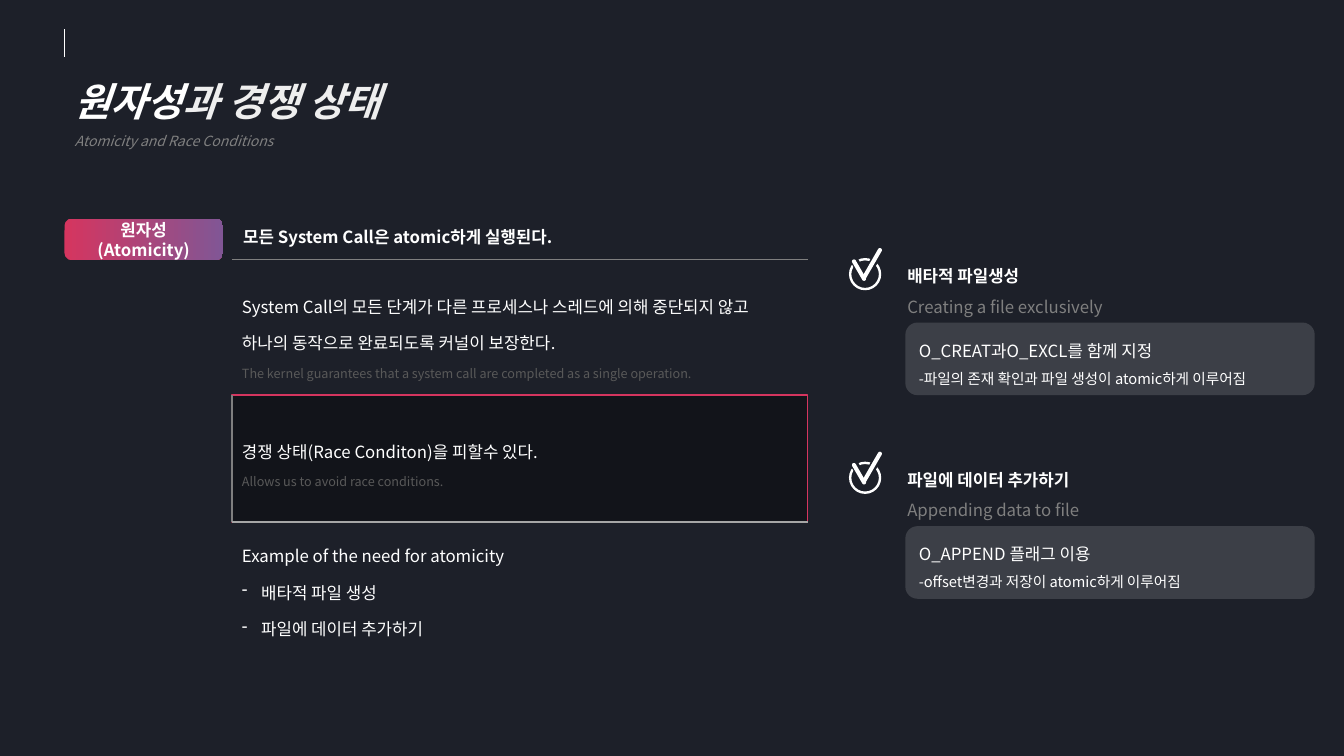
from lxml import etree
from pptx import Presentation
from pptx.dml.color import RGBColor
from pptx.enum.shapes import MSO_CONNECTOR, MSO_SHAPE
from pptx.enum.text import MSO_ANCHOR, MSO_AUTO_SIZE, PP_ALIGN
from pptx.oxml.ns import qn
from pptx.util import Inches, Pt

LEFT, CENTER = PP_ALIGN.LEFT, PP_ALIGN.CENTER
TOP, MIDDLE = MSO_ANCHOR.TOP, MSO_ANCHOR.MIDDLE
ROUNDED, RECTANGLE, DONUT = MSO_SHAPE.ROUNDED_RECTANGLE, MSO_SHAPE.RECTANGLE, MSO_SHAPE.DONUT
STRAIGHT = MSO_CONNECTOR.STRAIGHT
FONT = "Noto Sans CJK KR"
NO_STYLE_TABLE = "{2D5ABB26-0587-4C30-8999-92F81FD0307C}"
COLORS = {
    "night": "1D2029", "white": "FFFFFF", "black": "000000", "pink": "D5355F", "purple": "815695",
    "soft": "EEEEEE", "subtitle": "808080", "caption": "7F7F7F", "dim": "595959", "rule": "A6A6A6",
}

# CONTENT_PLACEHOLDER
TITLE = [
    [("원자성", 28, "white", "bi"), ("과 경쟁 상태", 28, "soft", "bi")],
    [("Atomicity and Race Conditions", 10, "subtitle", "i")],
]
TAG = [[("원자성(Atomicity)", 12, "white", "b")]]
HEADING = [[("모든 System Call은 atomic하게 실행된다.", 12, "white", "b")]]
ROWS = [
    [
        [("System Call의 모든 단계가 다른 프로세스나 스레드에 의해 중단되지 않고", 12, "white", "")],
        [("하나의 동작으로 완료되도록 커널이 보장한다.", 12, "white", "")],
        [("The kernel guarantees that a system call are completed as a single operation.", 9, "dim", "")],
    ],
    [
        [("경쟁 상태(Race Conditon)을 피할수 있다.", 12, "white", "")],
        [("Allows us to avoid race conditions.", 9, "dim", "")],
    ],
    [
        [("Example of the need for atomicity", 12, "white", "")],
        [("배타적 파일 생성", 12, "white", "-")],
        [("파일에 데이터 추가하기", 12, "white", "-")],
    ],
]
CASES = [
    ("배타적 파일생성", "Creating a file exclusively",
     "O_CREAT과O_EXCL를 함께 지정", "-파일의 존재 확인과 파일 생성이 atomic하게 이루어짐"),
    ("파일에 데이터 추가하기", "Appending data to file",
     "O_APPEND 플래그 이용", "-offset변경과 저장이 atomic하게 이루어짐"),
]
CHECK_BARS = [
    (8.42, 2.34, 0.08, 0.44, 330, "night"),
    (8.64, 2.35, 0.08, 0.44, 30, "night"),
    (8.63, 2.44, 0.04, 0.35, 30, "white"),
    (8.5, 2.56, 0.04, 0.24, 330, "white"),
]
TABLE_LEFT, TABLE_TOP, TABLE_WIDTH, ROW_HEIGHT = 2.3, 2.66, 5.71, 1.26
CASE_STEP = 2.02


def color(name):
    return RGBColor.from_string(COLORS[name])


def write(frame, paragraphs, anchor=TOP, align=LEFT, spacing=1.5):
    frame.word_wrap = True
    frame.auto_size = MSO_AUTO_SIZE.NONE
    frame.vertical_anchor = anchor
    for index, spans in enumerate(paragraphs):
        para = frame.add_paragraph() if index else frame.paragraphs[0]
        para.alignment = align
        para.line_spacing = spacing
        if spans[0][3] == "-":
            props = para._p.get_or_add_pPr()
            props.set("marL", str(Inches(0.19)))
            props.set("indent", str(-Inches(0.19)))
            etree.SubElement(props, qn("a:buChar")).set("char", "-")
        for text, size, tone, style in spans:
            span = para.add_run()
            span.text = text
            span.font.size = Pt(size)
            span.font.bold = "b" in style
            span.font.italic = "i" in style
            span.font.color.rgb = color(tone)
            span.font.name = FONT
            etree.SubElement(span._r.get_or_add_rPr(), qn("a:ea")).set("typeface", FONT)


def set_alpha(fill_owner, percent):
    tint = next(fill_owner.iter(qn("a:srgbClr")))
    etree.SubElement(tint, qn("a:alpha")).set("val", str(percent * 1000))


def add_box(shapes, kind, left, top, width, height, tone=None):
    box = shapes.add_shape(kind, Inches(left), Inches(top), Inches(width), Inches(height))
    box.shadow.inherit = False
    box.line.fill.background()
    if tone:
        box.fill.solid()
        box.fill.fore_color.rgb = color(tone)
    else:
        box.fill.background()
    return box


def add_line(page, x1, y1, x2, y2, tone, width):
    line = page.shapes.add_connector(STRAIGHT, Inches(x1), Inches(y1), Inches(x2), Inches(y2))
    line.line.color.rgb = color(tone)
    line.line.width = Pt(width)
    etree.SubElement(line._element.spPr, qn("a:effectLst"))


def set_border(cell, side):
    border = etree.SubElement(cell._tc.get_or_add_tcPr(), qn("a:" + side))
    border.set("w", str(Pt(0.25)))
    fill = etree.SubElement(border, qn("a:solidFill"))
    etree.SubElement(fill, qn("a:srgbClr")).set("val", COLORS["rule"])


def add_table(page):
    frame = page.shapes.add_table(len(ROWS), 1, Inches(TABLE_LEFT), Inches(TABLE_TOP),
                                  Inches(TABLE_WIDTH), Inches(ROW_HEIGHT * len(ROWS)))
    table = frame.table
    table.first_row = False
    table.horz_banding = False
    table._tbl.tblPr.find(qn("a:tableStyleId")).text = NO_STYLE_TABLE
    for index, paragraphs in enumerate(ROWS):
        table.rows[index].height = Inches(ROW_HEIGHT)
        cell = table.cell(index, 0)
        write(cell.text_frame, paragraphs)
        cell.vertical_anchor = MIDDLE
        if index > 0:
            set_border(cell, "lnT")
        if index < len(ROWS) - 1:
            set_border(cell, "lnB")
        if index == 1:
            cell.fill.solid()
            cell.fill.fore_color.rgb = color("black")
            set_alpha(cell._tc.tcPr.find(qn("a:solidFill")), 35)
        else:
            cell.fill.background()


def add_case(page, case, shift):
    name, caption, rule, detail = case
    label = page.shapes.add_textbox(Inches(8.9), Inches(2.49 + shift), Inches(3.98), Inches(0.71))
    write(label.text_frame, [[(name, 12, "white", "b")], [(caption, 12, "caption", "")]])
    check = page.shapes.add_group_shape()
    ring = add_box(check.shapes, DONUT, 8.42, 2.56 + shift, 0.32, 0.32, "white")
    ring.adjustments[0] = 0.074
    for left, top, width, height, angle, tone in CHECK_BARS:
        bar = add_box(check.shapes, ROUNDED, left, top + shift, width, height, tone)
        bar.adjustments[0] = 0.5
        bar.rotation = angle
    panel = add_box(page.shapes, ROUNDED, 8.98, 3.2 + shift, 4.06, 0.72, "white")
    set_alpha(panel._element.spPr, 14)
    write(panel.text_frame, [[(rule, 12, "white", "")], [(detail, 10.5, "white", "")]], MIDDLE)


def main():
    deck = Presentation()
    deck.slide_width, deck.slide_height = Inches(13.33), Inches(7.5)
    page = deck.slides.add_slide(deck.slide_layouts[5])
    page.background.fill.solid()
    page.background.fill.fore_color.rgb = color("night")

    title = page.shapes.title
    title.left, title.top, title.width, title.height = map(Inches, (0.64, 0.48, 4.63, 1.06))
    write(title.text_frame, TITLE)
    add_line(page, 0.64, 0.29, 0.64, 0.57, "white", 0.5)

    tag = add_box(page.shapes, ROUNDED, 0.64, 2.17, 1.57, 0.41)
    tag.fill.gradient()
    tag.fill.gradient_angle = 0
    for stop, tone in zip(tag.fill.gradient_stops, ("pink", "purple")):
        stop.color.rgb = color(tone)
    write(tag.text_frame, TAG, MIDDLE, CENTER, 1)

    heading = add_box(page.shapes, ROUNDED, TABLE_LEFT, 2.17, 4.72, 0.35)
    heading.adjustments[0] = 0.137
    write(heading.text_frame, HEADING, MIDDLE, spacing=1)
    right = TABLE_LEFT + TABLE_WIDTH
    add_line(page, TABLE_LEFT, 2.57, right, 2.57, "caption", 0.5)

    add_table(page)
    top = TABLE_TOP + ROW_HEIGHT
    bottom = top + ROW_HEIGHT
    highlight = add_box(page.shapes, RECTANGLE, TABLE_LEFT, top, TABLE_WIDTH, ROW_HEIGHT)
    highlight.line.color.rgb = color("pink")
    highlight.line.width = Pt(1)
    add_line(page, TABLE_LEFT, top, TABLE_LEFT, bottom, "caption", 1)
    add_line(page, TABLE_LEFT, bottom, right, bottom, "rule", 1)

    for index, case in enumerate(CASES):
        add_case(page, case, index * CASE_STEP)
    deck.save("out.pptx")


if __name__ == "__main__":
    main()
